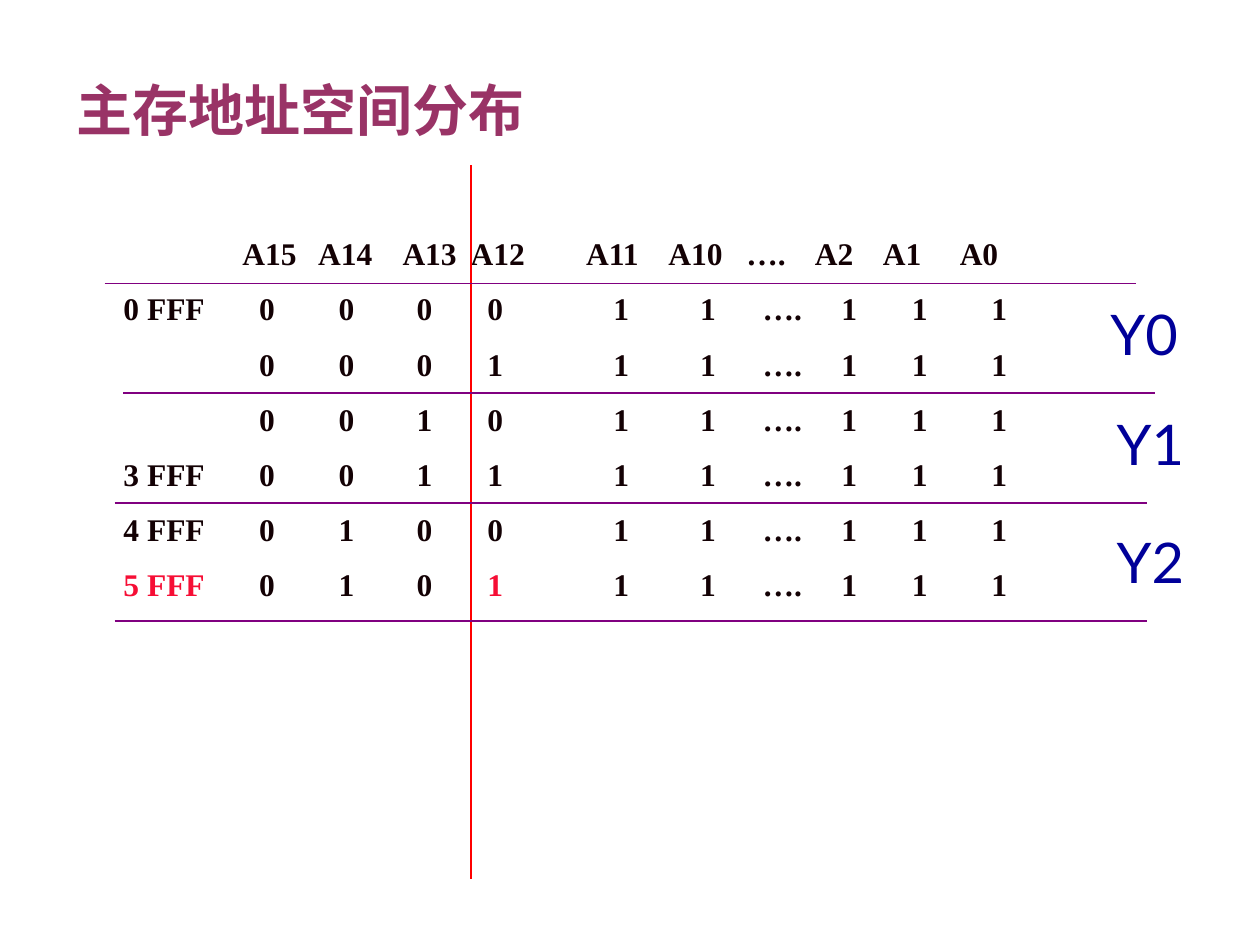
from lxml import etree
from pptx import Presentation
from pptx import util as u
from pptx.dml.color import RGBColor
from pptx.enum import shapes, text
from pptx.oxml.ns import qn

COLOURS = {"ink": "130104", "mark": "F60E35", "rule": "800080",
           "split": "FF0000", "select": "000099", "title": "993366"}
HEADER = ["", "A15", "A14", "A13", "A12", "A11", "A10", "….", "A2", "A1", "A0"]
HEADER_STOPS = [1.16, 1.76, 2.43, 2.97, 3.88, 4.54, 5.10, 5.64, 6.18, 6.79]
BIT_STOPS = [1.14, 1.77, 2.39, 2.95, 3.95, 4.64, 5.23, 5.76, 6.32, 6.95]
ADDRESSES = [("0 FFF", "0000"), ("", "0001"), ("", "0010"),
             ("3 FFF", "0011"), ("4 FFF", "0100"), ("5 FFF", "0101")]
LOW_BITS = ["1", "1", "….", "1", "1", "1"]
RULES = [(0.98, 3.12), (0.91, 3.99), (0.83, 2.25), (0.91, 4.93)]
RULE_LENGTH = 8.19
SELECTS = [("Y0", 8.47, 2.33, 0.3), ("Y1", 8.62, 3.2, 0.1), ("Y2", 8.62, 4.14, 0.1)]


class Painter:
    """Holds the style and the current page, and draws each kind of element."""

    def __init__(self, page):
        self.page = page
        self.styles = {
            "table": {"name": "Times New Roman", "size": u.Pt(18), "bold": True},
            "select": {"name": "Lato", "size": u.Pt(32), "bold": False},
            "title": {"name": "Noto Sans CJK SC", "size": u.Pt(32), "bold": True},
        }

    def frame(self, left, top, width, height, **formats):
        box = self.page.shapes.add_textbox(*map(u.Inches, (left, top, width, height)))
        for name, value in {"word_wrap": True, **formats}.items():
            setattr(box.text_frame, name, value)
        return box.text_frame

    def span(self, para, words, style, colour):
        span = para.add_run()
        span.text = words
        for name, value in self.styles[style].items():
            setattr(span.font, name, value)
        span.font.color.rgb = RGBColor.from_string(COLOURS[colour])
        east = etree.SubElement(span.font._element, qn("a:ea"))
        east.set("typeface", self.styles[style]["name"])

    def label(self, words, style, place, align, **formats):
        para = self.frame(*place, **formats).paragraphs[0]
        para.alignment = align
        self.span(para, words, style, style)

    def row(self, para, cells, stops, marked=()):
        tabs = etree.SubElement(para._p.get_or_add_pPr(), qn("a:tabLst"))
        for stop in stops:
            etree.SubElement(tabs, qn("a:tab"), pos=str(u.Inches(stop)), algn="ctr")
        for index, cell in enumerate(cells):
            words = "\t" + cell if index else cell
            if words:
                self.span(para, words, "table", "mark" if index in marked else "ink")

    def table(self, place):
        frame = self.frame(*place, margin_left=u.Inches(0.15), margin_top=u.Inches(0.08))
        self.row(frame.paragraphs[0], HEADER, HEADER_STOPS)
        for address, bits in ADDRESSES:
            para = frame.add_paragraph()
            marked = (0, 4) if address == "5 FFF" else ()
            self.row(para, [address, *bits, *LOW_BITS], BIT_STOPS, marked)
            para.space_before = u.Pt(9.9)

    def line(self, start, end, colour):
        line = self.page.shapes.add_connector(
            shapes.MSO_CONNECTOR.STRAIGHT, *map(u.Inches, (*start, *end)))
        line.line.width = u.Pt(1)
        line.line.color.rgb = RGBColor.from_string(COLOURS[colour])
        etree.SubElement(line._element.spPr, qn("a:effectLst"))


def main():
    deck = Presentation()
    deck.slide_width, deck.slide_height = u.Inches(10), u.Inches(7.5)
    painter = Painter(deck.slides.add_slide(deck.slide_layouts[6]))
    painter.table((0.83, 1.78, 8.51, 3.56))
    painter.line((3.74, 1.31), (3.74, 6.98), "split")
    for left, top in RULES:
        painter.line((left, top), (left + RULE_LENGTH, top), "rule")
    for words, left, top, margin in SELECTS:
        painter.label(words, "select", (left, top, 1.02, 0.63), text.PP_ALIGN.CENTER,
                      margin_left=u.Inches(margin))
    painter.label("主存地址空间分布", "title", (0.51, 0.44, 8.5, 0.74), text.PP_ALIGN.LEFT,
                  vertical_anchor=text.MSO_ANCHOR.BOTTOM)
    deck.save("out.pptx")


if __name__ == "__main__":
    main()
